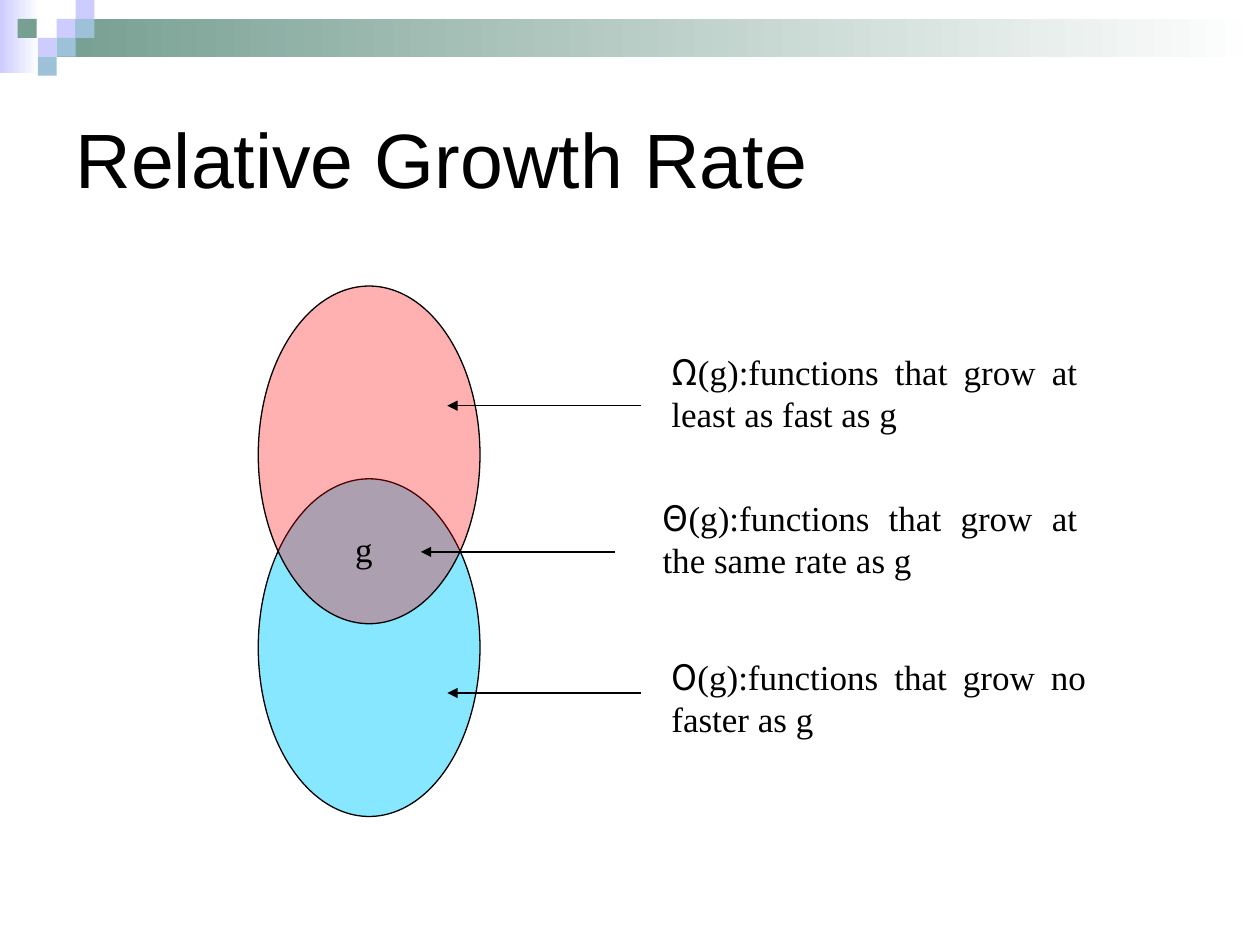
from lxml import etree
from pptx import Presentation
from pptx.dml.color import RGBColor
from pptx.enum.shapes import MSO_CONNECTOR, MSO_SHAPE
from pptx.enum.text import MSO_ANCHOR, MSO_AUTO_SIZE, PP_ALIGN
from pptx.oxml.ns import qn
from pptx.util import Pt

PX = 9144
RECTANGLE, OVAL = MSO_SHAPE.RECTANGLE, MSO_SHAPE.OVAL
STRAIGHT = MSO_CONNECTOR.STRAIGHT
LEFT, JUSTIFY = PP_ALIGN.LEFT, PP_ALIGN.JUSTIFY
TOP, MIDDLE = MSO_ANCHOR.TOP, MSO_ANCHOR.MIDDLE
NO_AUTOFIT = MSO_AUTO_SIZE.NONE

BLACK, WHITE = "000000", "FFFFFF"
LILAC, SAGE, SKY = "CCCCFF", "779F92", "9DC2D7"
SANS, SERIF, SYMBOL = "Arial", "Times New Roman", "Noto Sans CJK SC"

TILES = [
    (45, 15, LILAC), (60, 0, LILAC), (60, 15, SKY), (30, 30, LILAC),
    (14, 15, SAGE), (45, 30, SKY), (30, 45, SKY),
]
GROWTH_CLASSES = [
    ((523, 273, 342, 105), "Ω", "(g):functions that grow at least as fast as g"),
    ((516, 389, 349, 105), "Θ", "(g):functions that grow at the same rate as g"),
    ((523, 515, 349, 105), "Ο", "(g):functions that grow no faster as g"),
]
ARROWS = [(509, 322), (488, 438), (509, 550)]
ARROW_LENGTH = 154


def color(value):
    """Turn a hex string into a colour."""
    return RGBColor.from_string(value)


def emu(box):
    """Scale a sequence of px lengths to EMU."""
    return [length * PX for length in box]


def add_plain_shape(slide, kind, box):
    """Add a preset shape without shadow or outline."""
    shape = slide.shapes.add_shape(kind, *emu(box))
    shape.shadow.inherit = False
    shape.line.fill.background()
    return shape


def add_fading_band(slide, box, strong):
    """Add a rectangle fading from a strong colour to white on the right."""
    fill = add_plain_shape(slide, RECTANGLE, box).fill
    fill.gradient()
    fill.gradient_angle = 180
    for stop, value in zip(fill.gradient_stops, (WHITE, strong)):
        stop.color.rgb = color(value)


def add_header(slide, box):
    """Draw the fading bands and the mosaic tiles along the top."""
    left, top, width, height = box
    add_fading_band(slide, (left, top, 31, height), LILAC)
    add_fading_band(slide, (left + 45, top + 15, width - 45, 30), SAGE)
    for x, y, value in TILES:
        tile = add_plain_shape(slide, RECTANGLE, (left + x, top + y, 15, 15))
        tile.fill.solid()
        tile.fill.fore_color.rgb = color(value)


def write_text(shape, runs, size, alignment, anchor):
    """Write one paragraph of (text, font) runs into a shape."""
    frame = shape.text_frame
    frame.word_wrap = True
    frame.auto_size = NO_AUTOFIT
    frame.vertical_anchor = anchor
    paragraph = frame.paragraphs[0]
    paragraph.alignment = alignment
    for text, font in runs:
        run = paragraph.add_run()
        run.text = text
        run.font.name = font
        run.font.size = Pt(size)
        run.font.color.rgb = color(BLACK)


def add_title(slide, box):
    """Place and fill the title placeholder."""
    title = slide.shapes.title
    title.left, title.top, title.width, title.height = emu(box)
    write_text(title, [("Relative Growth Rate", SANS)], 44, LEFT, MIDDLE)


def add_label(slide, box, runs):
    """Add a justified text box."""
    label = slide.shapes.add_textbox(*emu(box))
    write_text(label, runs, 20, JUSTIFY, TOP)


def add_set(slide, box, value, opacity):
    """Add a translucent outlined ellipse."""
    ellipse = add_plain_shape(slide, OVAL, box)
    ellipse.fill.solid()
    ellipse.fill.fore_color.rgb = color(value)
    hue = ellipse.fill._xPr.find(".//" + qn("a:srgbClr"))
    etree.SubElement(hue, qn("a:alpha")).set("val", str(opacity * 1000))
    ellipse.line.color.rgb = color(BLACK)
    ellipse.line.width = Pt(0.75)


def add_venn(slide, box):
    """Draw the two overlapping sets and the label in their overlap."""
    left, top, width, height = box
    set_height = 268
    add_set(slide, (left, top + height - set_height, width, set_height), "00CCFF", 47)
    add_set(slide, (left, top, width, set_height), "FF0000", 31)
    add_label(slide, (left + 67, top + 187, 66, 96), [("g", SERIF)])


def add_arrow(slide, x, y):
    """Draw an arrow pointing left from the given point."""
    arrow = slide.shapes.add_connector(STRAIGHT, *emu((x, y, x - ARROW_LENGTH, y)))
    arrow.line.color.rgb = color(BLACK)
    arrow.line.width = Pt(0.75)
    line = arrow.line._get_or_add_ln()
    etree.SubElement(line, qn("a:tailEnd")).set("type", "triangle")
    etree.SubElement(arrow._element.spPr, qn("a:effectLst"))


def main():
    """Build and save the slide."""
    presentation = Presentation()
    presentation.slide_width, presentation.slide_height = emu((1000, 750))
    slide = presentation.slides.add_slide(presentation.slide_layouts[5])
    add_header(slide, (0, 0, 1000, 58))
    add_title(slide, (50, 50, 900, 150))
    add_venn(slide, (205, 227, 176, 421))
    for box, symbol, description in GROWTH_CLASSES:
        add_label(slide, box, [(symbol, SYMBOL), (description, SERIF)])
    for x, y in ARROWS:
        add_arrow(slide, x, y)
    presentation.save("out.pptx")


if __name__ == "__main__":
    main()
